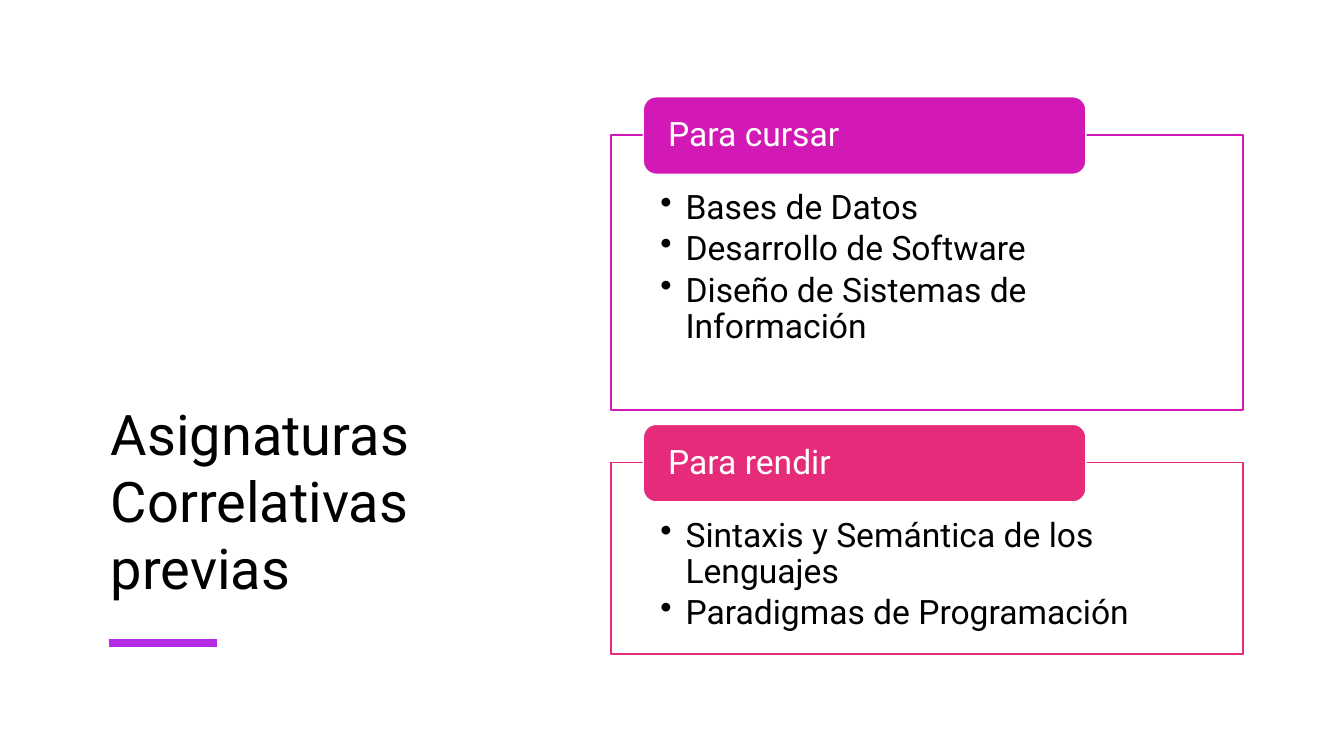
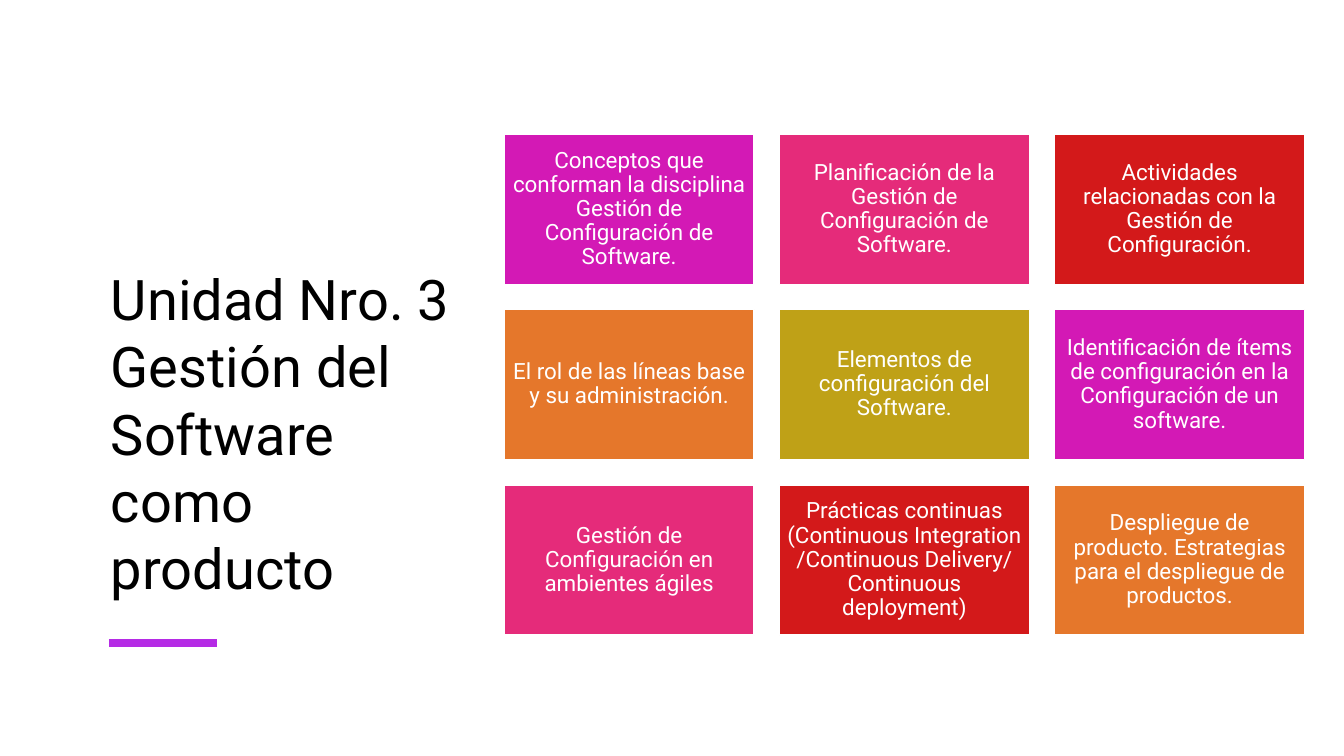
from dataclasses import dataclass
from itertools import cycle

from lxml.etree import SubElement
from pptx import Presentation
from pptx.dml.color import RGBColor
from pptx.enum.shapes import MSO_CONNECTOR, MSO_SHAPE
from pptx.enum.text import MSO_ANCHOR, MSO_AUTO_SIZE, PP_ALIGN
from pptx.oxml.ns import qn
from pptx.util import Emu, Pt

# Shared style
PX = 9144  # 100 px to the inch
FONT = "Roboto"
BLACK = RGBColor(0x00, 0x00, 0x00)
WHITE = RGBColor(0xFF, 0xFF, 0xFF)
PURPLE = RGBColor(0xB5, 0x2B, 0xE5)
MAGENTA = RGBColor(0xD3, 0x19, 0xB5)
PINK = RGBColor(0xE5, 0x2B, 0x7A)
RED = RGBColor(0xD3, 0x19, 0x1A)
ORANGE = RGBColor(0xE5, 0x77, 0x2B)
OLIVE = RGBColor(0xBF, 0xA1, 0x17)
TILE_COLORS = (MAGENTA, PINK, RED, ORANGE, OLIVE)


@dataclass(frozen=True)
class Box:
    left: int
    top: int
    width: int
    height: int

    def emu(self) -> tuple:
        return tuple(px(value) for value in (self.left, self.top, self.width, self.height))


@dataclass(frozen=True)
class TextStyle:
    size: int
    color: RGBColor
    align: PP_ALIGN = PP_ALIGN.LEFT
    anchor: MSO_ANCHOR = MSO_ANCHOR.MIDDLE
    insets: tuple = (10, 5, 10, 5)  # left, top, right, bottom
    line_spacing: float = 0.9
    space_after: float = 0
    bullet: bool = False


@dataclass(frozen=True)
class Panel:
    heading: str
    items: tuple
    color: RGBColor
    top: int
    height: int


TITLE_BOX = Box(100, 100, 388, 501)
TITLE_STYLE = TextStyle(40, BLACK, anchor=MSO_ANCHOR.BOTTOM, line_spacing=1.0)
HEADING_STYLE = TextStyle(24, WHITE, insets=(21, 4, 21, 4))
ITEM_STYLE = TextStyle(24, BLACK, anchor=MSO_ANCHOR.TOP, insets=(49, 55, 49, 19),
                       space_after=3.6, bullet=True)
TILE_STYLE = TextStyle(16, WHITE, PP_ALIGN.CENTER, insets=(7, 7, 7, 7))

# Slide contents
PANELS = (
    Panel("Para cursar",
          ("Bases de Datos", "Desarrollo de Software", "Diseño de Sistemas de Información"),
          MAGENTA, 134, 273),
    Panel("Para rendir",
          ("Sintaxis y Semántica de los Lenguajes", "Paradigmas de Programación"),
          PINK, 459, 190),
)
TOPICS = (
    "Conceptos que conforman la disciplina Gestión de Configuración de Software.",
    "Planificación de la Gestión de Configuración de Software.",
    "Actividades relacionadas con la Gestión de Configuración.",
    "El rol de las líneas base y su administración.",
    "Elementos de configuración del Software.",
    "Identificación de ítems de configuración en la Configuración de un software.",
    "Gestión de Configuración en ambientes ágiles",
    "Prácticas continuas (Continuous Integration /Continuous Delivery/ Continuous deployment)",
    "Despliegue de producto. Estrategias para el despliegue de productos.",
)


def px(value: int) -> Emu:
    return Emu(value * PX)


def set_all(target, values: dict) -> None:
    for name, value in values.items():
        setattr(target, name, value)


def add_bullet(paragraph) -> None:
    properties = paragraph._p.get_or_add_pPr()
    properties.set("marL", str(px(25)))
    properties.set("indent", str(px(-25)))
    SubElement(properties, qn("a:buChar")).set("char", "•")


def write_text(shape, lines: tuple, style: TextStyle) -> None:
    frame = shape.text_frame
    left, top, right, bottom = (px(inset) for inset in style.insets)
    set_all(frame, {
        "word_wrap": True, "auto_size": MSO_AUTO_SIZE.NONE,
        "vertical_anchor": style.anchor, "margin_left": left,
        "margin_top": top, "margin_right": right, "margin_bottom": bottom,
    })
    for index, line in enumerate(lines):
        paragraph = frame.add_paragraph() if index else frame.paragraphs[0]
        paragraph.text = line
        set_all(paragraph, {
            "alignment": style.align, "line_spacing": style.line_spacing,
            "space_before": Pt(0), "space_after": Pt(style.space_after),
        })
        if style.bullet:
            add_bullet(paragraph)
        for run in paragraph.runs:
            set_all(run.font, {"name": FONT, "size": Pt(style.size)})
            run.font.color.rgb = style.color


def add_box(slide, kind: MSO_SHAPE, box: Box, fill: RGBColor, line: RGBColor):
    shape = slide.shapes.add_shape(kind, *box.emu())
    shape.shadow.inherit = False
    shape.fill.solid()
    shape.fill.fore_color.rgb = fill
    shape.line.color.rgb = line
    shape.line.width = Pt(1)
    return shape


def add_titled_slide(presentation, title: str):
    slide = presentation.slides.add_slide(presentation.slide_layouts[5])
    placeholder = slide.shapes.title
    left, top, width, height = TITLE_BOX.emu()
    set_all(placeholder, {"left": left, "top": top, "width": width, "height": height})
    write_text(placeholder, (title,), TITLE_STYLE)
    # Accent line under the title
    accent = slide.shapes.add_connector(
        MSO_CONNECTOR.STRAIGHT, px(108), px(638), px(215), px(638))
    accent.line.color.rgb = PURPLE
    accent.line.width = Pt(6)
    SubElement(accent._element.spPr, qn("a:effectLst"))
    return slide


def add_panel(slide, panel: Panel) -> None:
    body = add_box(slide, MSO_SHAPE.RECTANGLE, Box(606, panel.top, 627, panel.height),
                   WHITE, panel.color)
    fill_color = body._element.spPr.find(qn("a:solidFill"))[0]
    SubElement(fill_color, qn("a:alpha")).set("val", "90000")
    write_text(body, panel.items, ITEM_STYLE)
    heading = add_box(slide, MSO_SHAPE.ROUNDED_RECTANGLE, Box(638, panel.top - 38, 439, 77),
                      panel.color, WHITE)
    write_text(heading, (panel.heading,), HEADING_STYLE)


def add_topic_grid(slide) -> None:
    left, top, width, height, gap, columns = 500, 133, 248, 149, 25, 3
    for index, (topic, color) in enumerate(zip(TOPICS, cycle(TILE_COLORS))):
        row, column = divmod(index, columns)
        box = Box(left + column * (width + gap), top + row * (height + gap), width, height)
        tile = add_box(slide, MSO_SHAPE.RECTANGLE, box, color, WHITE)
        write_text(tile, (topic,), TILE_STYLE)


def main() -> None:
    presentation = Presentation()
    set_all(presentation, {"slide_width": px(1333), "slide_height": px(750)})

    # Slide 1: prerequisite subjects
    slide = add_titled_slide(presentation, "Asignaturas Correlativas previas")
    for panel in PANELS:
        add_panel(slide, panel)

    # Slide 2: topics of the unit
    slide = add_titled_slide(
        presentation, "Unidad Nro. 3\vGestión del Software como producto")
    add_topic_grid(slide)

    presentation.save("out.pptx")


if __name__ == "__main__":
    main()
